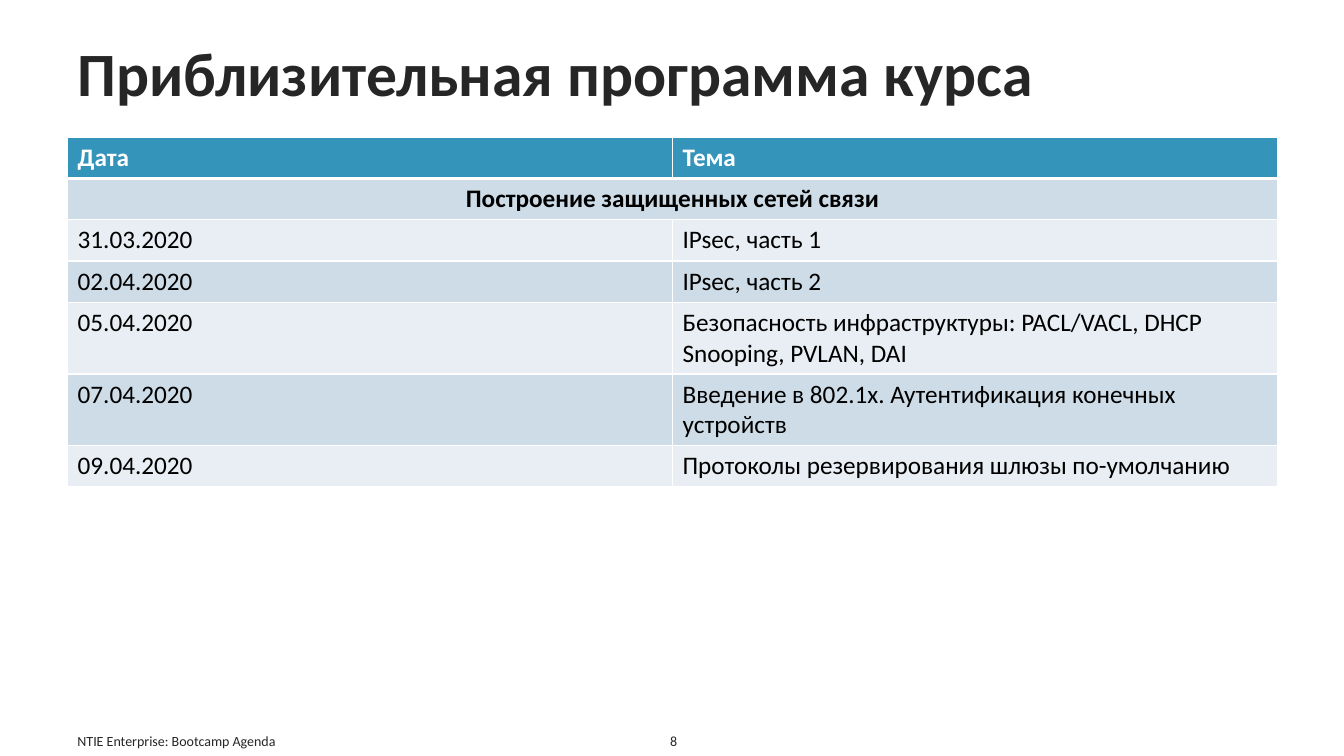
from lxml import etree
from pptx import Presentation
from pptx import util as u
from pptx.dml import color
from pptx.enum import text
from pptx.oxml import ns

COLORS = {
    "ink": "262626",
    "black": "000000",
    "white": "FFFFFF",
    "head": "3494BA",
    "dark": "CEDCE7",
    "light": "E8EEF3",
}
FONT = "Calibri"
HEAD = ("Дата", "Тема")
TOPIC = "Построение защищенных сетей связи"
PLAN = [
    ("31.03.2020", "IPsec, часть 1"),
    ("02.04.2020", "IPsec, часть 2"),
    ("05.04.2020", "Безопасность инфраструктуры: PACL/VACL, DHCP Snooping, PVLAN, DAI"),
    ("07.04.2020", "Введение в 802.1x. Аутентификация конечных устройств"),
    ("09.04.2020", "Протоколы резервирования шлюзы по-умолчанию"),
]


def rgb(name):
    return color.RGBColor.from_string(COLORS[name])


def write(frame, words, size, ink, bold=False, align=text.PP_ALIGN.LEFT):
    frame.text = words
    para = frame.paragraphs[0]
    para.alignment = align
    font = para.font
    font.name, font.size, font.bold = FONT, u.Pt(size), bold
    font.color.rgb = rgb(ink)
    return para


def add_title(slide, words):
    title = slide.shapes.title
    title.left, title.top = u.Inches(0.67), u.Inches(0.4)
    title.width, title.height = u.Inches(12), u.Inches(0.71)
    frame = title.text_frame
    frame.vertical_anchor = text.MSO_ANCHOR.MIDDLE
    frame.auto_size = text.MSO_AUTO_SIZE.NONE
    write(frame, words, 44, "ink", True).line_spacing = 0.9


def add_note(slide, left, width, words, align):
    box = slide.shapes.add_textbox(
        u.Inches(left), u.Inches(7.21), u.Inches(width), u.Inches(0.29))
    frame = box.text_frame
    frame.word_wrap = True
    frame.vertical_anchor = text.MSO_ANCHOR.MIDDLE
    write(frame, words, 10, "ink", align=align)


def set_edge(cell, side, width):
    props = cell._tc.get_or_add_tcPr()
    line = etree.SubElement(props, ns.qn(f"a:ln{side}"), w=str(u.Pt(width)))
    fill = etree.SubElement(line, ns.qn("a:solidFill"))
    etree.SubElement(fill, ns.qn("a:srgbClr"), val=COLORS["white"])


def style_cell(cell, row):
    for side in "LRTB":
        thick = (row == 0 and side == "B") or (row == 1 and side == "T")
        set_edge(cell, side, 3 if thick else 1)
    cell.fill.solid()
    band = "dark" if row % 2 else "light"
    cell.fill.fore_color.rgb = rgb(band if row else "head")


def add_plan(slide):
    rows = [HEAD, (TOPIC, "")] + PLAN
    table = slide.shapes.add_table(
        len(rows), 2, u.Inches(0.67), u.Inches(1.36),
        u.Inches(12), u.Inches(0.41 * len(rows))).table
    for r, words in enumerate(rows):
        table.rows[r].height = u.Inches(0.41)
        for c, word in enumerate(words):
            cell = table.cell(r, c)
            style_cell(cell, r)
            if word:
                align = text.PP_ALIGN.CENTER if r == 1 else text.PP_ALIGN.LEFT
                write(cell.text_frame, word, 18,
                      "black" if r else "white", r < 2, align)
    table.cell(1, 0).merge(table.cell(1, 1))


def main():
    deck = Presentation()
    deck.slide_width, deck.slide_height = u.Inches(13.33), u.Inches(7.5)
    slide = deck.slides.add_slide(deck.slide_layouts[5])
    add_title(slide, "Приблизительная программа курса")
    add_plan(slide)
    add_note(slide, 0.67, 4.5, "NTIE Enterprise: Bootcamp Agenda", text.PP_ALIGN.LEFT)
    add_note(slide, 5.19, 2.98, "8", text.PP_ALIGN.CENTER)
    deck.save("out.pptx")


if __name__ == "__main__":
    main()
